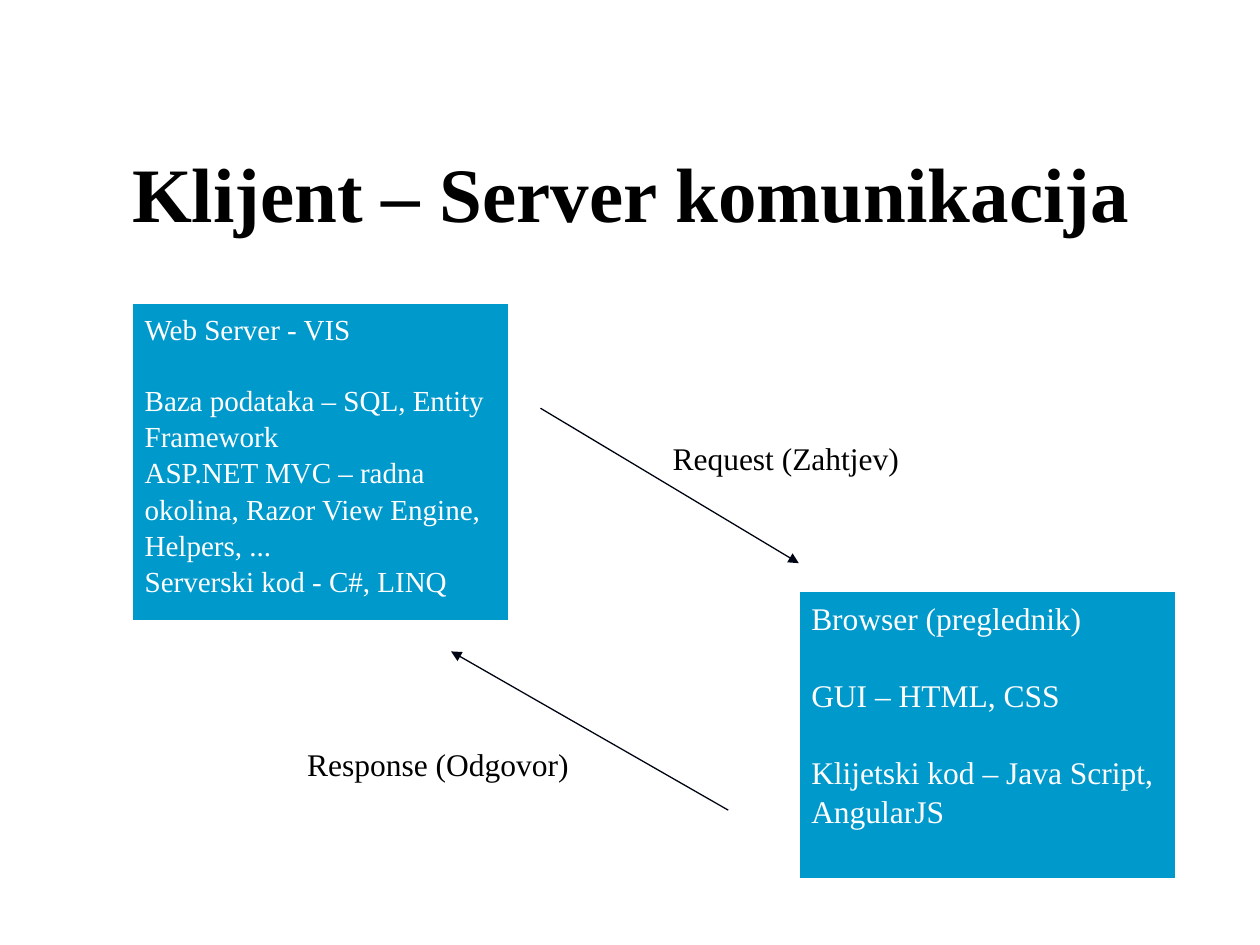
"""Build a slide showing how a client and a server communicate."""
import pptx
import pptx.util
import pptx.oxml
import pptx.oxml.ns
import pptx.dml.color
import pptx.enum.shapes
import pptx.enum.text

Inches, Pt = pptx.util.Inches, pptx.util.Pt
ALIGN = pptx.enum.text.PP_ALIGN
ANCHOR = pptx.enum.text.MSO_ANCHOR

COLORS = {"box": "0099CC", "edge": "FFFFFF", "light": "FFFFFF",
          "dark": "000000", "arrow": "000514"}
FONT = "Times New Roman"
PITCH = 1.04
GAP = 1.2

TITLE = ("Klijent – Server komunikacija", (0.51, 1.1, 9, 0.81))
BOXES = [
    ((1.05, 2.41, 2.99, 2.52), 16.6, [
        ["Web Server - VIS"],
        ["Baza podataka – SQL, Entity Framework",
         "ASP.NET MVC – radna okolina, Razor View Engine, Helpers, ...",
         "Serverski kod - C#, LINQ"]]),
    ((6.34, 4.69, 2.99, 2.28), 18, [
        ["Browser (preglednik)"],
        ["GUI – HTML, CSS"],
        ["Klijetski kod – Java Script, AngularJS"]]),
]
ARROWS = [(4.29, 3.24, 6.34, 4.47), (5.78, 6.43, 3.58, 5.17)]
LABELS = [("Request (Zahtjev)", (5.24, 3.42, 2.2, 0.7)),
          ("Response (Odgovor)", (2.34, 5.85, 2.33, 0.7))]


def tint(name):
    return pptx.dml.color.RGBColor.from_string(COLORS[name])


def write(shape, groups, size, color, bold=False, align=ALIGN.LEFT,
          anchor=ANCHOR.TOP):
    frame = shape.text_frame
    frame.word_wrap = True
    frame.vertical_anchor = anchor
    first = True
    for group in groups:
        for spot, text in enumerate(group):
            para = frame.paragraphs[0] if first else frame.add_paragraph()
            space = 0 if first or spot else size * GAP
            style = {"alignment": align, "line_spacing": PITCH,
                     "space_before": Pt(space)}
            for key, value in style.items():
                setattr(para, key, value)
            run = para.add_run()
            run.text = text
            form = {"name": FONT, "size": Pt(size), "bold": bold}
            for key, value in form.items():
                setattr(run.font, key, value)
            run.font.color.rgb = tint(color)
            first = False


def add_box(slide, place, size, groups):
    kind = pptx.enum.shapes.MSO_SHAPE.RECTANGLE
    box = slide.shapes.add_shape(kind, *map(Inches, place))
    box.shadow.inherit = False
    box.fill.solid()
    box.fill.fore_color.rgb = tint("box")
    box.line.color.rgb = tint("edge")
    box.line.width = Pt(0.75)
    write(box, groups, size, "light")


def add_text(slide, text, place, size, **style):
    box = slide.shapes.add_textbox(*map(Inches, place))
    write(box, [[text]], size, "dark", **style)


def add_arrow(slide, ends):
    kind = pptx.enum.shapes.MSO_CONNECTOR.STRAIGHT
    arrow = slide.shapes.add_connector(kind, *map(Inches, ends))
    arrow.line.color.rgb = tint("arrow")
    arrow.line.width = Pt(0.75)
    tip = pptx.oxml.ns.qn("a:tailEnd")
    arrow.line._get_or_add_ln().append(
        pptx.oxml.xmlchemy.OxmlElement("a:tailEnd"))
    arrow.line._get_or_add_ln().find(tip).set("type", "triangle")
    arrow._element.spPr.append(
        pptx.oxml.xmlchemy.OxmlElement("a:effectLst"))


def main():
    deck = pptx.Presentation()
    deck.slide_width, deck.slide_height = Inches(10), Inches(7.5)
    slide = deck.slides.add_slide(deck.slide_layouts[6])
    add_text(slide, *TITLE, 44, bold=True, align=ALIGN.CENTER,
             anchor=ANCHOR.MIDDLE)
    for box in BOXES:
        add_box(slide, *box)
    for ends in ARROWS:
        add_arrow(slide, ends)
    for text, place in LABELS:
        add_text(slide, text, place, 18)
    deck.save("out.pptx")


if __name__ == "__main__":
    main()
